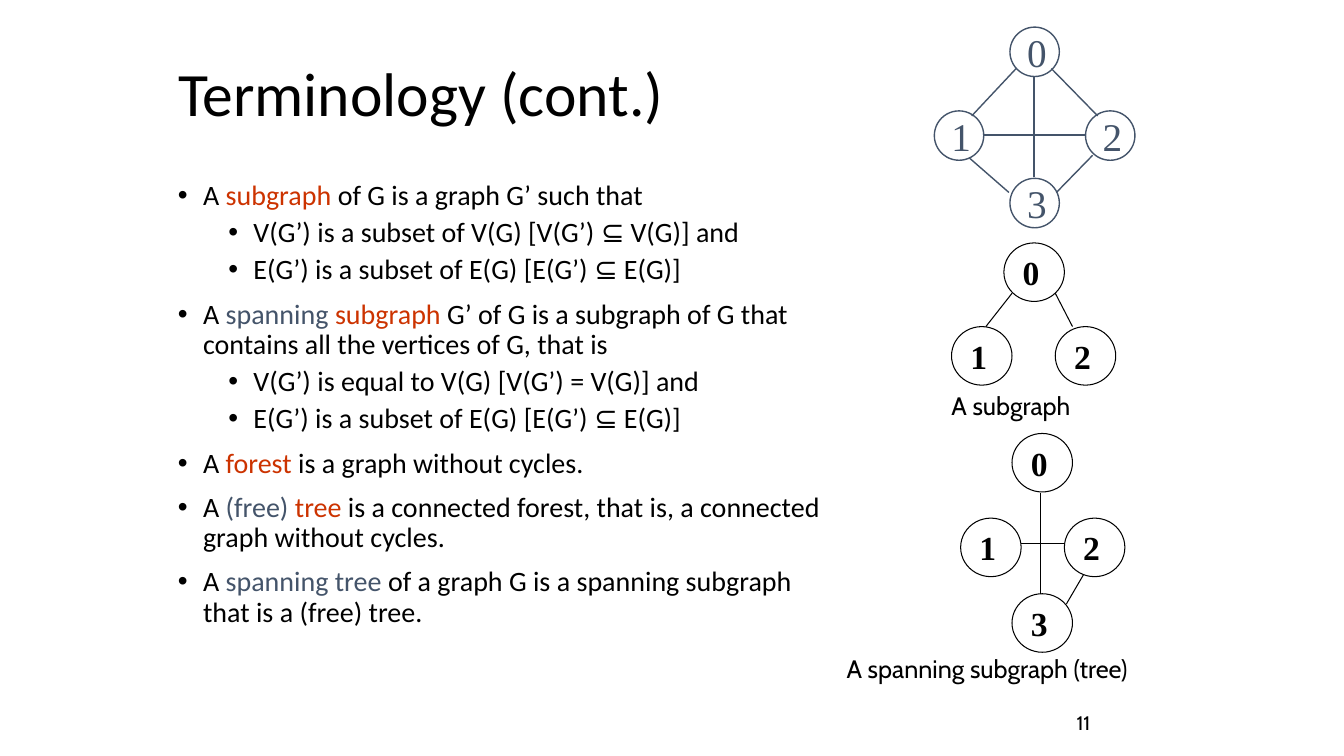
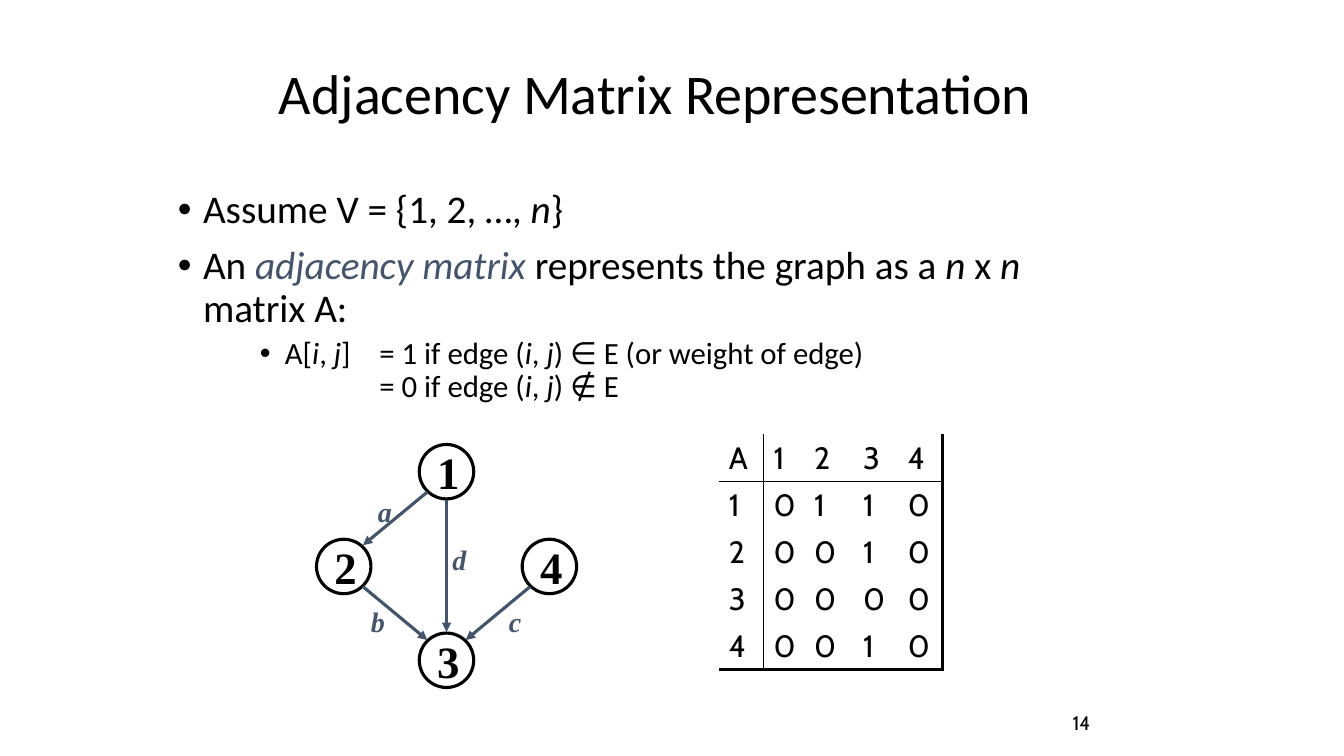
from dataclasses import dataclass
from typing import NamedTuple

from lxml.etree import SubElement
from pptx import Presentation
from pptx.dml.color import RGBColor
from pptx.enum.shapes import MSO_CONNECTOR, MSO_SHAPE
from pptx.enum.text import MSO_ANCHOR as Anchor, MSO_AUTO_SIZE as AutoSize, PP_ALIGN as Align
from pptx.oxml.ns import qn
from pptx.util import Pt

BLACK = RGBColor(0x00, 0x00, 0x00)
WHITE = RGBColor(0xFF, 0xFF, 0xFF)
SLATE = RGBColor(0x44, 0x54, 0x6A)
RED = RGBColor(0xCC, 0x33, 0x00)

BODY_FONT = "Calibri"
NOTE_FONT = "Cabin"
GRAPH_FONT = "Times New Roman"
LINE_BREAK = "\n"
HANGING = 18
TAB_SIZE = 72


class Box(NamedTuple):
    left: float
    top: float
    width: float
    height: float

    def points(self):
        return [Pt(length) for length in self]


class Span(NamedTuple):
    text: str
    color: RGBColor = BLACK
    italic: bool = False


class Bullet(NamedTuple):
    spans: list[Span]
    indent: float
    size: float
    space_before: float


class Node(NamedTuple):
    label: str
    left: float
    top: float


class Edge(NamedTuple):
    start_x: float
    start_y: float
    end_x: float
    end_y: float


class Label(NamedTuple):
    text: str
    left: float
    top: float


@dataclass
class Graph:
    nodes: list[Node]
    edges: list[Edge]
    width: float
    height: float
    font_size: float
    line_width: float
    bold: bool = True
    outline: RGBColor = BLACK
    edge_color: RGBColor = BLACK
    fill: RGBColor | None = None
    arrows: bool = False


def style_font(paragraph, name: str, size: float, color: RGBColor = BLACK,
               bold: bool = False, italic: bool = False) -> None:
    font = paragraph.font
    font.name, font.size, font.bold, font.italic = name, Pt(size), bold, italic
    font.color.rgb = color


def add_text(slide, box: Box, text: str, wrap: bool = True):
    shape = slide.shapes.add_textbox(*box.points())
    frame = shape.text_frame
    frame.word_wrap = wrap
    frame.text = text
    return frame


def add_title(slide, box: Box, text: str, size: float) -> None:
    title = slide.shapes.title
    title.left, title.top, title.width, title.height = box.points()
    frame = title.text_frame
    frame.text = text
    frame.auto_size = AutoSize.NONE
    frame.vertical_anchor = Anchor.MIDDLE
    paragraph = frame.paragraphs[0]
    paragraph.alignment = Align.LEFT
    paragraph.line_spacing = 0.9
    style_font(paragraph, BODY_FONT, size)


def add_slide_number(slide, number: str) -> None:
    frame = add_text(slide, Box(636, 492, 150, 36), number)
    frame.vertical_anchor = Anchor.BOTTOM
    frame.paragraphs[0].alignment = Align.RIGHT
    style_font(frame.paragraphs[0], NOTE_FONT, 14)


def add_caption(slide, box: Box, text: str) -> None:
    style_font(add_text(slide, box, text).paragraphs[0], NOTE_FONT, 18)


def add_bullets(slide, box: Box, bullets: list[Bullet]) -> None:
    frame = add_text(slide, box, "")
    for index, bullet in enumerate(bullets):
        paragraph = frame.add_paragraph() if index else frame.paragraphs[0]
        paragraph.line_spacing = 0.9
        if index:
            paragraph.space_before = Pt(bullet.space_before)
        properties = paragraph._p.get_or_add_pPr()
        properties.set("marL", str(Pt(bullet.indent)))
        properties.set("indent", str(-Pt(HANGING)))
        properties.set("defTabSz", str(Pt(TAB_SIZE)))
        SubElement(properties, qn("a:buFont"), typeface="Arial")
        SubElement(properties, qn("a:buChar"), char="•")
        style_font(paragraph, BODY_FONT, bullet.size)
        for span in bullet.spans:
            if span.text == LINE_BREAK:
                paragraph.add_line_break()
                continue
            run = paragraph.add_run()
            run.text = span.text
            if span.color != BLACK:
                run.font.color.rgb = span.color
            if span.italic:
                run.font.italic = True


def add_node(slide, node: Node, graph: Graph) -> None:
    box = Box(node.left, node.top, graph.width, graph.height)
    shape = slide.shapes.add_shape(MSO_SHAPE.OVAL, *box.points())
    shape.shadow.inherit = False
    if graph.fill is None:
        shape.fill.background()
    else:
        shape.fill.solid()
        shape.fill.fore_color.rgb = graph.fill
    shape.line.color.rgb = graph.outline
    shape.line.width = Pt(graph.line_width)
    frame = shape.text_frame
    frame.word_wrap = False
    frame.vertical_anchor = Anchor.MIDDLE
    frame.text = node.label
    frame.paragraphs[0].alignment = Align.LEFT
    style_font(frame.paragraphs[0], GRAPH_FONT, graph.font_size, graph.outline, graph.bold)


def add_edge(slide, edge: Edge, graph: Graph) -> None:
    ends = [Pt(length) for length in edge]
    connector = slide.shapes.add_connector(MSO_CONNECTOR.STRAIGHT, *ends)
    connector.line.color.rgb = graph.edge_color
    connector.line.width = Pt(graph.line_width)
    if graph.arrows:
        SubElement(connector.line._get_or_add_ln(), qn("a:tailEnd"), type="triangle")
    SubElement(connector._element.spPr, qn("a:effectLst"))


def add_graph(slide, graph: Graph) -> None:
    for node in graph.nodes:
        add_node(slide, node, graph)
    for edge in graph.edges:
        add_edge(slide, edge, graph)


def set_border(cell, side: str, width: float) -> None:
    line = SubElement(cell._tc.get_or_add_tcPr(), qn(f"a:{side}"), w=str(Pt(width)))
    if width:
        fill = SubElement(line, qn("a:solidFill"))
        SubElement(fill, qn("a:srgbClr"), val=str(BLACK))
    else:
        SubElement(line, qn("a:noFill"))


def add_matrix(slide, box: Box, rows: list[str], column_widths: list[float]) -> None:
    last_row, last_column = len(rows) - 1, len(column_widths) - 1
    frame = slide.shapes.add_table(len(rows), len(column_widths), *box.points())
    table = frame.table
    table.first_row = table.horz_banding = False
    for column, width in zip(table.columns, column_widths):
        column.width = Pt(width)
    row_borders = {0: 1, last_row: 2.25}
    column_borders = {0: 1, last_column: 2.25}
    for row, values in enumerate(rows):
        for column, value in enumerate(values):
            cell = table.cell(row, column)
            cell.text = value
            style_font(cell.text_frame.paragraphs[0], NOTE_FONT, 22)
            set_border(cell, "lnL", 1 if column == 1 else 0)
            set_border(cell, "lnR", column_borders.get(column, 0))
            set_border(cell, "lnT", 1 if row == 1 else 0)
            set_border(cell, "lnB", row_borders.get(row, 0))
            cell.fill.background()


def add_terminology_slide(presentation) -> None:
    slide = presentation.slides.add_slide(presentation.slide_layouts[5])
    add_slide_number(slide, "11")
    add_title(slide, Box(120, 24, 612, 90), "Terminology (cont.)", 44)

    def term(*spans: Span) -> Bullet:
        return Bullet([Span("A "), *spans], 18, 20, 10)

    def condition(text: str) -> Bullet:
        return Bullet([Span(text)], 54, 20, 5)

    edge_condition = condition("E(G’) is a subset of E(G) [E(G’) ⊆ E(G)]")
    add_bullets(slide, Box(120, 126, 476, 382), [
        term(Span("subgraph", RED), Span(" of G is a graph G’ such that")),
        condition("V(G’) is a subset of V(G) [V(G’) ⊆ V(G)] and"),
        edge_condition,
        term(Span("spanning ", SLATE), Span("subgraph", RED),
             Span(" G’ of G is a subgraph of G that contains all the vertices of G, that is")),
        condition("V(G’) is equal to V(G) [V(G’) = V(G)] and"),
        edge_condition,
        term(Span("forest", RED), Span(" is a graph without cycles.")),
        term(Span("(free) ", SLATE), Span("tree", RED),
             Span(" is a connected forest, that is, a connected graph without cycles.")),
        term(Span("spanning tree", SLATE),
             Span(" of a graph G is a spanning subgraph that is a (free) tree.")),
    ])

    complete_graph = Graph(
        [Node("0", 721.4, 19.4), Node("1", 667.4, 79.2),
         Node("2", 775.4, 79.2), Node("3", 721.4, 127.4)],
        [Edge(738.7, 54.7, 738.7, 126.7), Edge(702.7, 96.5, 774.7, 96.5),
         Edge(725.8, 49, 694.1, 82.8), Edge(751, 49, 784.1, 82.8),
         Edge(692.6, 113, 720.7, 137.5), Edge(780.5, 110.9, 754.6, 137.5)],
        35.3, 35.3, 28, 1, bold=False, outline=SLATE, edge_color=SLATE, fill=WHITE)
    subgraph = Graph(
        [Node("0", 717.1, 173.5), Node("1", 679.7, 233.3), Node("2", 753.8, 233.3)],
        [Edge(722.9, 209.5, 704.2, 233.3), Edge(753.8, 209.5, 766.1, 233.3)],
        43.2, 41.8, 24, 0.75)
    spanning_tree = Graph(
        [Node("0", 722.9, 309.6), Node("1", 686.2, 370.1),
         Node("2", 760.3, 370.1), Node("3", 722.9, 424.1)],
        [Edge(729.4, 388.1, 760.3, 388.1), Edge(743, 352.1, 743, 424.1),
         Edge(774, 410.4, 761.8, 431.3)],
        43.2, 41.8, 24, 0.75)
    for graph in (complete_graph, subgraph, spanning_tree):
        add_graph(slide, graph)
    add_caption(slide, Box(672.5, 275, 133, 29), "A subgraph")
    add_caption(slide, Box(597.6, 463, 234, 29), "A spanning subgraph (tree)")


def add_matrix_slide(presentation) -> None:
    slide = presentation.slides.add_slide(presentation.slide_layouts[5])
    add_slide_number(slide, "14")
    add_title(slide, Box(192, 24, 648, 90), "Adjacency Matrix Representation", 40)

    i, j, n = (Span(letter, italic=True) for letter in "ijn")
    comma = Span(", ")
    add_bullets(slide, Box(120, 132, 618, 160.5), [
        Bullet([Span("Assume V = {1, 2, …, "), n, Span("}")], 18, 28, 10),
        Bullet([Span("An "), Span("adjacency matrix ", SLATE, True),
                Span("represents the graph as a "), n, Span(" x "), n,
                Span(" matrix A:")], 18, 28, 10),
        Bullet([Span("A["), i, comma, j, Span("]\t= 1 if edge ("), i, comma, j,
                Span(") ∈ E (or weight of edge)"), Span(LINE_BREAK),
                Span("\t= 0 if edge ("), i, comma, j, Span(") ∉ E")], 76.5, 22, 5),
    ])

    add_graph(slide, Graph(
        [Node("1", 299.5, 317.5), Node("2", 226.1, 385.2),
         Node("4", 373, 385.2), Node("3", 299.5, 452.2)],
        [Edge(305.3, 351.4, 259.2, 389.5), Edge(259.2, 419, 305.3, 457.2),
         Edge(378.7, 419, 332.6, 457.2), Edge(319, 357.1, 319, 451.4)],
        38.9, 38.9, 32, 2.25, edge_color=SLATE, arrows=True))
    for label in (Label("a", 262.8, 349.9), Label("d", 316.1, 383.8),
                  Label("b", 257.8, 428.4), Label("c", 356.4, 428.4)):
        frame = add_text(slide, Box(label.left, label.top, 24.5, 31), label.text, wrap=False)
        style_font(frame.paragraphs[0], GRAPH_FONT, 20, SLATE, bold=True, italic=True)

    add_matrix(slide, Box(513.4, 310.3, 160, 168),
               ["A1234", "10110", "20010", "30000", "40010"], [32, 29, 35, 32, 32])


def main() -> None:
    presentation = Presentation()
    presentation.slide_width, presentation.slide_height = Pt(960), Pt(540)
    add_terminology_slide(presentation)
    add_matrix_slide(presentation)
    presentation.save("out.pptx")


if __name__ == "__main__":
    main()
